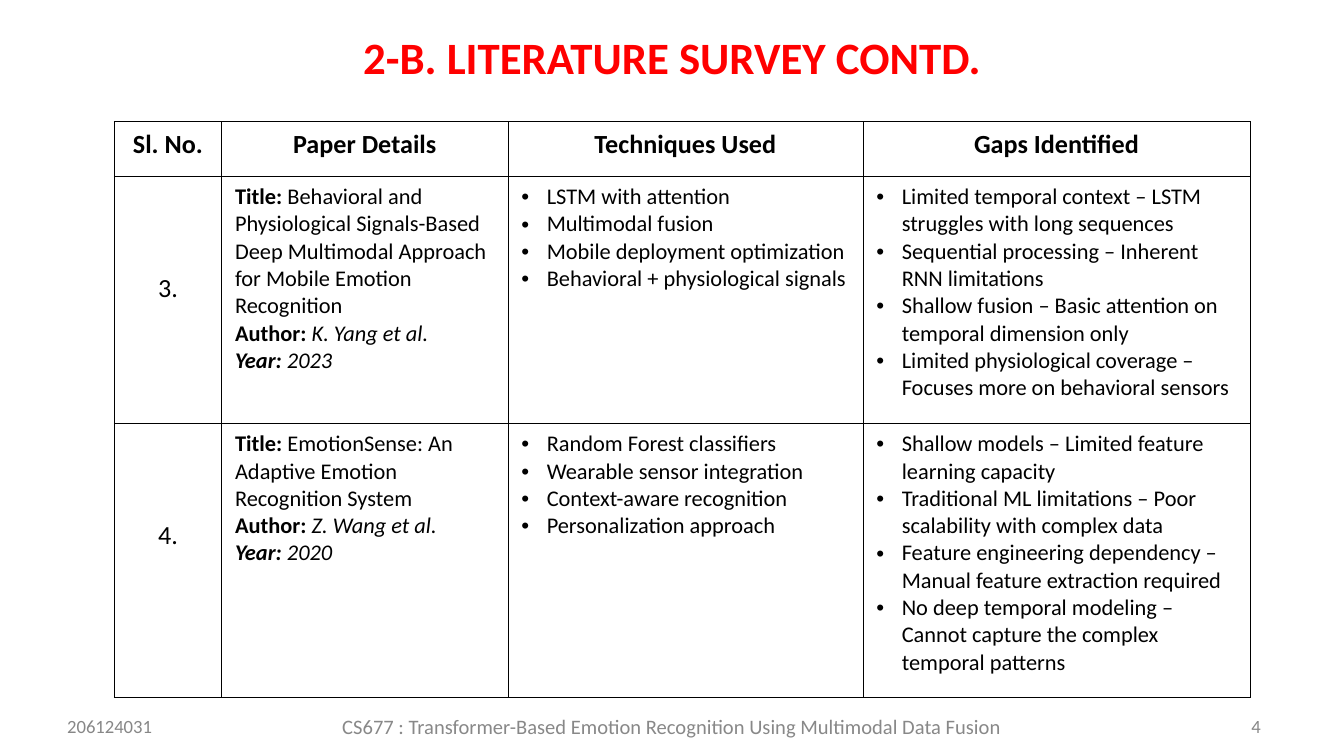
from lxml import etree
from pptx import Presentation
from pptx.dml.color import RGBColor
from pptx.enum.text import MSO_ANCHOR, MSO_AUTO_SIZE, PP_ALIGN
from pptx.oxml.ns import qn
from pptx.util import Cm, Pt

LEFT, MID = PP_ALIGN.LEFT, PP_ALIGN.CENTER
TOP = MSO_ANCHOR.TOP
FIXED = MSO_AUTO_SIZE.NONE
TITLE_ONLY = 5

COLORS = {"red": "FF0000", "ink": "000000", "paper": "FFFFFF",
          "foot": "888888", "side": "878787"}

# Table content: number, (title, author, year), techniques, gaps
BOLD, ITAL, BOTH = {"bold": True}, {"italic": True}, {"bold": True, "italic": True}
WIDTHS = [2.03, 5.41, 6.71, 7.32]
HEIGHTS = [1.04, 4.67, 5.18]
HEADS = ["Sl. No.", "Paper Details", "Techniques Used", "Gaps Identified"]
PAPERS = [
    ("3.",
     ("Behavioral and Physiological Signals-Based Deep Multimodal Approach "
      "for Mobile Emotion Recognition", "K. Yang et al.", "2023"),
     ["LSTM with attention", "Multimodal fusion",
      "Mobile deployment optimization", "Behavioral + physiological signals"],
     ["Limited temporal context – LSTM struggles with long sequences",
      "Sequential processing – Inherent RNN limitations",
      "Shallow fusion – Basic attention on temporal dimension only",
      "Limited physiological coverage – Focuses more on behavioral sensors"]),
    ("4.",
     ("EmotionSense: An Adaptive Emotion Recognition System",
      "Z. Wang et al.", "2020"),
     ["Random Forest classifiers", "Wearable sensor integration",
      "Context-aware recognition", "Personalization approach"],
     ["Shallow models – Limited feature learning capacity",
      "Traditional ML limitations – Poor scalability with complex data",
      "Feature engineering dependency – Manual feature extraction required",
      "No deep temporal modeling – Cannot capture the complex temporal patterns"]),
]


class Deck:
    """Holds the style and the current slide."""

    def __init__(self, wide, high):
        self.prs = Presentation()
        self.prs.slide_width, self.prs.slide_height = Cm(wide), Cm(high)
        self.slide = self.prs.slides.add_slide(
            self.prs.slide_layouts[TITLE_ONLY])
        self.base = {"name": "Calibri", "bold": False, "italic": False}

    def put(self, frame, lines, size, color="ink", align=LEFT, dot=False,
            space=None):
        for i, line in enumerate(lines):
            para = frame.paragraphs[0] if i == 0 else frame.add_paragraph()
            para.alignment, para.line_spacing = align, space
            if dot:
                self.bullet(para)
            for text, form in line:
                run = para.add_run()
                run.text = text
                for key, val in {**self.base, "size": Pt(size), **form}.items():
                    setattr(run.font, key, val)
                run.font.color.rgb = RGBColor.from_string(COLORS[color])

    def bullet(self, para):
        props = para._p.get_or_add_pPr()
        props.set("marL", str(Cm(0.48)))
        props.set("indent", str(-Cm(0.48)))
        etree.SubElement(props, qn("a:buFont"), typeface="Arial")
        etree.SubElement(props, qn("a:buChar"), char="•")

    def bare(self, frame):
        form = {"margin_left": 0, "margin_right": 0, "margin_top": 0,
                "margin_bottom": 0, "word_wrap": True, "auto_size": FIXED,
                "vertical_anchor": TOP}
        for key, val in form.items():
            setattr(frame, key, val)
        return frame

    def title(self, text, left, top, wide, high):
        box = self.slide.shapes.title
        box.left, box.top, box.width, box.height = map(
            Cm, (left, top, wide, high))
        self.put(self.bare(box.text_frame), [[(text, BOLD)]], 24, "red", MID)

    def label(self, text, left, top, wide, high, size, color, **form):
        box = self.slide.shapes.add_textbox(*map(Cm, (left, top, wide, high)))
        self.put(self.bare(box.text_frame), [[(text, {})]], size, color, **form)

    def grid(self, left, top, widths, heights):
        frame = self.slide.shapes.add_table(
            len(heights), len(widths), Cm(left), Cm(top),
            Cm(sum(widths)), Cm(sum(heights)))
        table = frame.table
        table.first_row = table.horz_banding = False
        for col, wide in zip(table.columns, widths):
            col.width = Cm(wide)
        for row, high in zip(table.rows, heights):
            row.height = Cm(high)
        for cell in table.iter_cells():
            self.border(cell)
            cell.fill.solid()
            cell.fill.fore_color.rgb = RGBColor.from_string(COLORS["paper"])
        return table

    def border(self, cell):
        props = cell._tc.get_or_add_tcPr()
        for side in ("a:lnL", "a:lnR", "a:lnT", "a:lnB"):
            line = etree.SubElement(props, qn(side), w=str(Pt(0.45)))
            fill = etree.SubElement(line, qn("a:solidFill"))
            etree.SubElement(fill, qn("a:srgbClr"), val=COLORS["ink"])


def main():
    deck = Deck(25.4, 14.29)
    deck.title("2-B. LITERATURE SURVEY CONTD.", 5.36, 0.56, 14.68, 1.02)

    # Survey table
    table = deck.grid(2.16, 2.3, WIDTHS, HEIGHTS)
    for col, head in enumerate(HEADS):
        deck.put(table.cell(0, col).text_frame, [[(head, BOLD)]], 14, align=MID)
    for row, (num, (name, author, year), *lists) in enumerate(PAPERS, 1):
        cell = table.cell(row, 0)
        cell.margin_top = Cm(1.81)
        deck.put(cell.text_frame, [[(num, {})]], 14, align=MID)
        deck.put(table.cell(row, 1).text_frame, [
            [("Title: ", BOLD), (name, {})],
            [("Author: ", BOLD), (author, ITAL)],
            [("Year: ", BOTH), (year, ITAL)]], 12)
        for col, items in enumerate(lists, 2):
            deck.put(table.cell(row, col).text_frame,
                     [[(item, {})] for item in items], 12, dot=True)

    # Footer
    foot = 13.49
    deck.label("CS677 : Transformer-Based Emotion Recognition Using "
               "Multimodal Data Fusion", 6.35, foot, 12.7, 0.46, 11, "foot",
               align=MID)
    for text, left, wide in (("206124031", 1.27, 1.93), ("4", 23.65, 0.53)):
        deck.label(text, left, foot, wide, 0.45, 10, "side", space=1.04)

    deck.prs.save("out.pptx")


if __name__ == "__main__":
    main()
